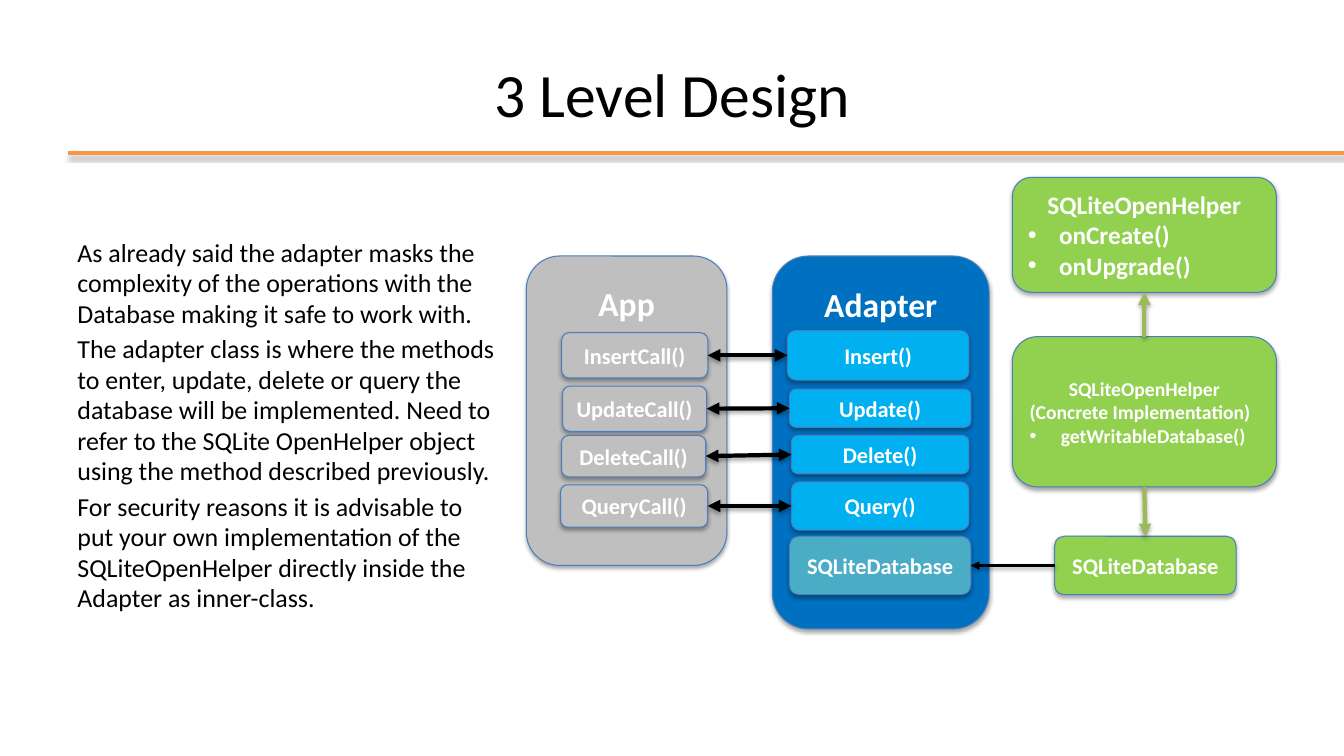
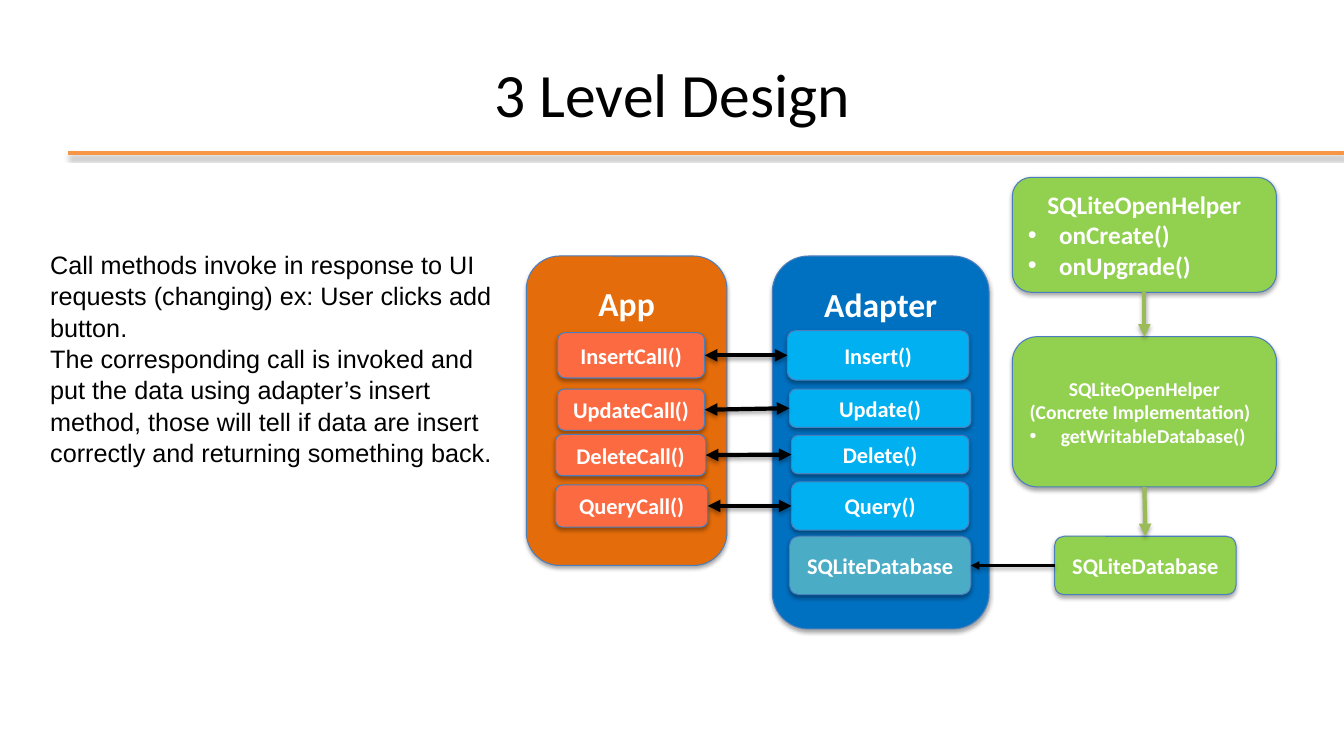
from dataclasses import dataclass
from typing import NamedTuple

from lxml.etree import SubElement
from pptx import Presentation
from pptx.dml.color import RGBColor
from pptx.enum.shapes import MSO_CONNECTOR, MSO_SHAPE
from pptx.enum.text import MSO_ANCHOR, PP_ALIGN
from pptx.oxml.ns import qn
from pptx.util import Pt

PX = 9144  # EMU in one px, 100 px to the inch
SLIDE_WIDTH, SLIDE_HEIGHT = 1333, 750
TOP, LEFT, BOTTOM, RIGHT = range(4)  # connection sites of a rectangle
BULLET_INDENT = 31

COLORS = {
    "text": "000000",
    "white": "FFFFFF",
    "rule": "F79646",
    "outline": "4B7EBC",
    "helper": "92D050",
    "helper_arrow": "9BBB59",
    "adapter": "0070C0",
    "method": "00B0F0",
    "database": "4BACC6",
    "app_idle": "BFBFBF",
    "app_active": "E46C0A",
    "call_active": "FC6A42",
}


class Area(NamedTuple):
    left: int
    top: int
    width: int
    height: int

    def emu(self) -> tuple:
        return tuple(length * PX for length in self)


class Line(NamedTuple):
    text: str
    align: PP_ALIGN = PP_ALIGN.CENTER
    bullet: bool = False


@dataclass(frozen=True)
class Block:
    area: Area
    lines: tuple
    fill: str
    size: int = 16
    top_inset: int = 0  # above zero: heading at the top instead of the middle


@dataclass(frozen=True)
class Body:
    area: Area
    paragraphs: tuple
    font: str
    size: float
    line_spacing: float
    space_before: float = 0


@dataclass(frozen=True)
class DesignSlide:
    body: Body
    app_fill: str
    call_fill: str
    call_areas: tuple
    helper_calls_down: bool


def bullet(text: str) -> Line:
    return Line(text, PP_ALIGN.LEFT, True)


# Parts shared by both diagrams
OPERATIONS = ("Insert", "Update", "Delete", "Query")
METHOD_AREAS = (
    Area(781, 328, 180, 49),
    Area(783, 386, 180, 38),
    Area(785, 432, 176, 38),
    Area(785, 478, 176, 48),
)
APP_AREA = Area(522, 254, 199, 307)
HELPER = Block(
    Area(1004, 176, 262, 114),
    (Line("SQLiteOpenHelper"), bullet("onCreate()"), bullet("onUpgrade()")),
    "helper", 18,
)
CONCRETE_HELPER = Block(
    Area(1004, 334, 262, 149),
    (
        Line("SQLiteOpenHelper"),
        Line("(Concrete Implementation)", PP_ALIGN.LEFT),
        bullet("getWritableDatabase()"),
    ),
    "helper", 14,
)
ADAPTER = Block(Area(766, 254, 215, 370), (Line("Adapter"),), "adapter", 24, 17)
HELPER_DATABASE = Block(Area(1046, 532, 180, 58), (Line("SQLiteDatabase"),), "helper")
ADAPTER_DATABASE = Block(Area(783, 532, 180, 58), (Line("SQLiteDatabase"),), "database")

# What differs from slide to slide
SLIDES = (
    DesignSlide(
        Body(
            Area(67, 231, 437, 394),
            (
                "As already said the adapter masks the complexity of the operations "
                "with the Database making it safe to work with.",
                "The adapter class is where the methods to enter, update, delete or "
                "query the database will be implemented. Need to refer to the SQLite "
                "OpenHelper object using the method described previously.",
                "For security reasons it is advisable to put your own implementation "
                "of the SQLiteOpenHelper directly inside the Adapter as inner-class.",
            ),
            "Calibri", 18.5, 0.98, 3.7,
        ),
        "app_idle", "app_idle",
        (
            Area(557, 330, 145, 45),
            Area(558, 383, 143, 45),
            Area(557, 432, 143, 41),
            Area(556, 481, 146, 42),
        ),
        False,
    ),
    DesignSlide(
        Body(
            Area(40, 241, 464, 384),
            (
                "Call methods invoke in response to UI requests (changing) ex: User "
                "clicks add button.",
                "The corresponding call is invoked and put the data using adapter’s "
                "insert method, those will tell if data are insert correctly and "
                "returning something back.",
            ),
            "Arial", 18, 1.04,
        ),
        "app_active", "call_active",
        (
            Area(553, 330, 146, 45),
            Area(553, 386, 146, 41),
            Area(551, 431, 149, 41),
            Area(551, 481, 151, 42),
        ),
        True,
    ),
)


def rgb(name: str) -> RGBColor:
    return RGBColor.from_string(COLORS[name])


def set_font(paragraph, size: float, color: str, name="Calibri", bold=False) -> None:
    font = paragraph.font
    font.name, font.size, font.bold = name, Pt(size), bold
    font.color.rgb = rgb(color)


def add_shadow(drawn) -> None:
    properties = drawn.element.find(qn("p:spPr"))
    effects = properties.find(qn("a:effectLst"))
    if effects is None:
        effects = SubElement(properties, qn("a:effectLst"))
    shadow = SubElement(effects, qn("a:outerShdw"), blurRad="40000", dist="23000",
                        dir="5400000", rotWithShape="0")
    tone = SubElement(shadow, qn("a:srgbClr"), val=COLORS["text"])
    SubElement(tone, qn("a:alpha"), val="35000")


def add_bullet(paragraph) -> None:
    properties = paragraph._p.get_or_add_pPr()
    properties.set("marL", str(BULLET_INDENT * PX))
    properties.set("indent", str(-BULLET_INDENT * PX))
    SubElement(properties, qn("a:buFont"), typeface="Arial")
    SubElement(properties, qn("a:buChar"), char="•")


def add_paragraphs(frame, count: int) -> list:
    return [frame.paragraphs[0]] + [frame.add_paragraph() for _ in range(count - 1)]


def add_block(slide, block: Block):
    shape = slide.shapes.add_shape(MSO_SHAPE.ROUNDED_RECTANGLE, *block.area.emu())
    shape.shadow.inherit = False
    shape.fill.solid()
    shape.fill.fore_color.rgb = rgb(block.fill)
    shape.line.color.rgb = rgb("outline")
    shape.line.width = Pt(0.75)
    add_shadow(shape)
    frame = shape.text_frame
    frame.word_wrap = True
    frame.vertical_anchor = MSO_ANCHOR.MIDDLE
    if block.top_inset:
        frame.vertical_anchor = MSO_ANCHOR.TOP
        frame.margin_top = block.top_inset * PX
    for paragraph, line in zip(add_paragraphs(frame, len(block.lines)), block.lines):
        paragraph.text, paragraph.alignment = line.text, line.align
        set_font(paragraph, block.size, "white", bold=True)
        if line.bullet:
            add_bullet(paragraph)
    return shape


def add_line(slide, color: str, width: float, ends=(0, 0, 0, 0), arrows=()):
    line = slide.shapes.add_connector(
        MSO_CONNECTOR.STRAIGHT, *(length * PX for length in ends))
    line.line.color.rgb = rgb(color)
    line.line.width = Pt(width)
    outline = line.element.find(qn("p:spPr")).find(qn("a:ln"))
    for arrow in arrows:
        SubElement(outline, qn(f"a:{arrow}"), type="triangle")
    add_shadow(line)
    return line


def join(slide, start, start_side: int, end, end_side: int,
         color="text", width=3.0, arrows=("tailEnd",)) -> None:
    arrow = add_line(slide, color, width, arrows=arrows)
    arrow.begin_connect(start, start_side)
    arrow.end_connect(end, end_side)


def add_heading(slide) -> None:
    add_line(slide, "rule", 3, (67, 152, SLIDE_WIDTH, 152))
    frame = slide.shapes.add_textbox(*Area(67, 30, 1200, 125).emu()).text_frame
    frame.word_wrap = True
    frame.vertical_anchor = MSO_ANCHOR.MIDDLE
    title = frame.paragraphs[0]
    title.text, title.alignment = "3 Level Design", PP_ALIGN.CENTER
    set_font(title, 44, "text")


def add_body(slide, body: Body) -> None:
    frame = slide.shapes.add_textbox(*body.area.emu()).text_frame
    frame.word_wrap = True
    paragraphs = add_paragraphs(frame, len(body.paragraphs))
    for paragraph, text in zip(paragraphs, body.paragraphs):
        paragraph.text = text
        paragraph.line_spacing = body.line_spacing
        paragraph.space_before = Pt(body.space_before)
        set_font(paragraph, body.size, "text", body.font)


def add_diagram(slide, design: DesignSlide) -> None:
    # Levels
    helper = add_block(slide, HELPER)
    concrete_helper = add_block(slide, CONCRETE_HELPER)
    add_block(slide, Block(APP_AREA, (Line("App"),), design.app_fill, 24, 17))
    add_block(slide, ADAPTER)
    helper_database = add_block(slide, HELPER_DATABASE)
    adapter_database = add_block(slide, ADAPTER_DATABASE)

    # App calls and the adapter methods they reach
    for operation, call_area, method_area in zip(
            OPERATIONS, design.call_areas, METHOD_AREAS):
        call = add_block(
            slide, Block(call_area, (Line(f"{operation}Call()"),), design.call_fill))
        method = add_block(
            slide, Block(method_area, (Line(f"{operation}()"),), "method"))
        join(slide, call, RIGHT, method, LEFT, arrows=("headEnd", "tailEnd"))

    # Database and helper arrows
    join(slide, helper_database, LEFT, adapter_database, RIGHT, width=2)
    helper_ends = (helper, BOTTOM, concrete_helper, TOP)
    if not design.helper_calls_down:
        helper_ends = helper_ends[2:] + helper_ends[:2]
    join(slide, *helper_ends, color="helper_arrow")
    join(slide, concrete_helper, BOTTOM, helper_database, TOP, color="helper_arrow")


def main() -> None:
    deck = Presentation()
    deck.slide_width, deck.slide_height = SLIDE_WIDTH * PX, SLIDE_HEIGHT * PX
    for design in SLIDES:
        slide = deck.slides.add_slide(deck.slide_layouts[6])
        add_heading(slide)
        add_body(slide, design.body)
        add_diagram(slide, design)
    deck.save("out.pptx")


if __name__ == "__main__":
    main()
